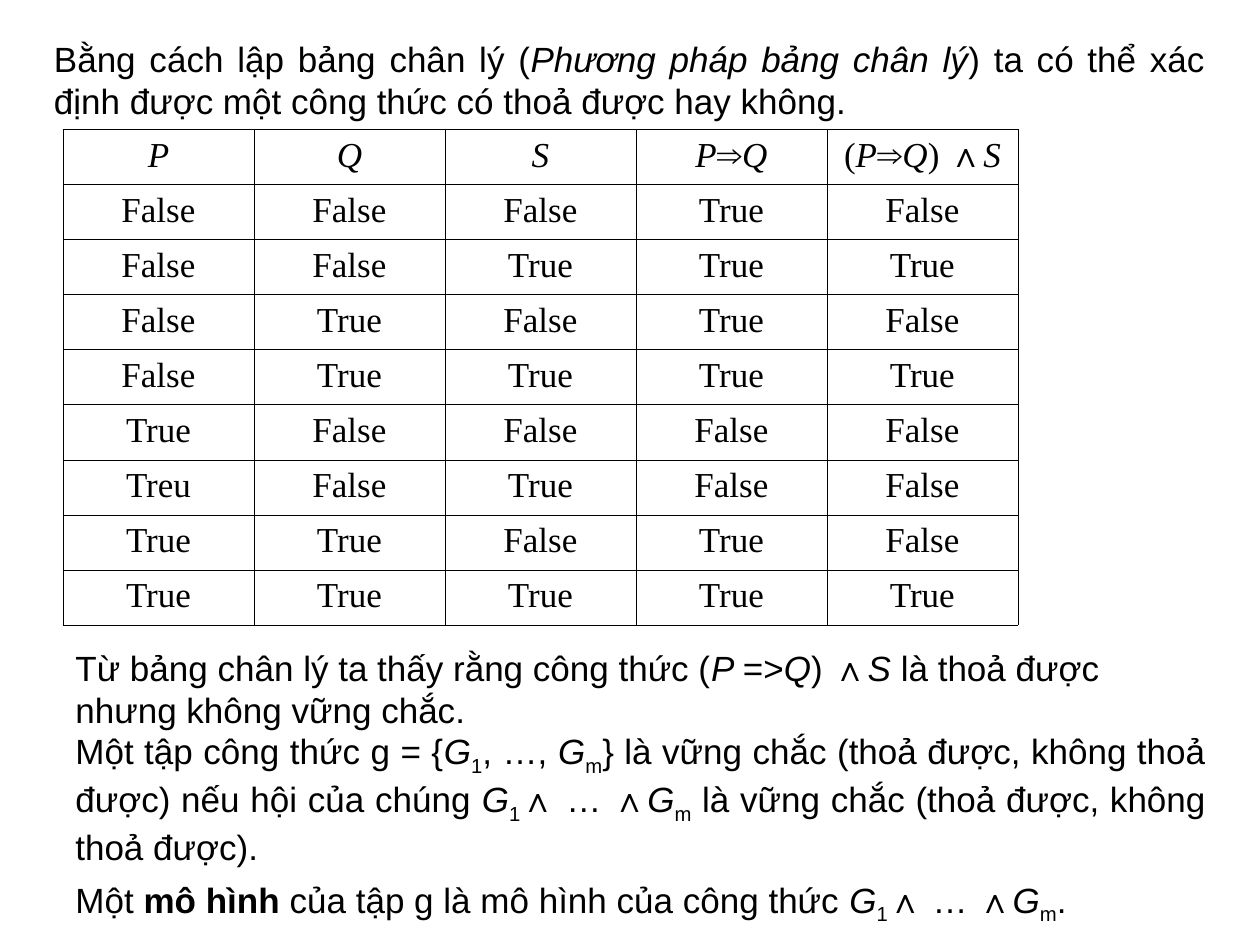
from lxml import etree
from pptx import Presentation
from pptx.dml.color import RGBColor
from pptx.enum.text import MSO_ANCHOR, MSO_AUTO_SIZE, PP_ALIGN
from pptx.oxml.ns import qn
from pptx.util import Inches, Pt

LEFT, CENTER, JUSTIFY = PP_ALIGN.LEFT, PP_ALIGN.CENTER, PP_ALIGN.JUSTIFY
TOP, MIDDLE = MSO_ANCHOR.TOP, MSO_ANCHOR.MIDDLE
BLANK_LAYOUT = 6
SANS, SERIF = "Arial", "Times New Roman"
BLACK = "000000"
TEXT_SIZE = 20
BORDER_WIDTH = 0.45

# A run is (text, style): "i" italic, "b" bold, "sub" subscript, "" plain.
FIRST_G = [("G", "i"), ("1", "sub")]
LAST_G = [("G", "i"), ("m", "sub")]
CONJUNCTION = FIRST_G + [("∧ … ∧", "")] + LAST_G

INTRODUCTION = [[
    ("Bằng cách lập bảng chân lý (", ""), ("Phương pháp bảng chân lý", "i"),
    (") ta có thể xác định được một công thức có thoả được hay không. ", ""),
]]
CONCLUSION = [[
    ("Từ bảng chân lý ta thấy rằng công thức (", ""), ("P ", "i"), ("=>", ""),
    ("Q", "i"), (") ∧", ""), ("S", "i"),
    (" là thoả được nhưng không vững chắc.", ""),
]]
DEFINITIONS = [
    [("Một tập công thức g = {", "")] + FIRST_G + [(", …, ", "")] + LAST_G
    + [("} là vững chắc (thoả được, không thoả được) nếu hội của chúng ", "")]
    + CONJUNCTION + [(" là vững chắc (thoả được, không thoả được). ", "")],
    [("Một ", ""), ("mô hình", "b"), (" của tập g là mô hình của công thức ", "")]
    + CONJUNCTION + [(". ", "")],
]

# left, top, width, height in inches; anchor; alignment; space after; paragraphs
TEXT_BOXES = [
    ((0.33, 0.25, 9.33, 0.77), MIDDLE, JUSTIFY, 0, INTRODUCTION),
    ((0.5, 5.08, 9.08, 0.77), TOP, LEFT, 0, CONCLUSION),
    ((0.5, 5.74, 9.17, 1.66), MIDDLE, JUSTIFY, 6.2, DEFINITIONS),
]

IMPLICATION = [("P", "i"), ("⇒", "symbol"), ("Q", "i")]
HEADINGS = [
    [("P", "i")], [("Q", "i")], [("S", "i")], IMPLICATION,
    [("(", "")] + IMPLICATION + [(") ", ""), ("∧", "symbol"), ("S", "i")],
]
TRUTH_ROWS = [
    ("False", "False", "False", "True", "False"),
    ("False", "False", "True", "True", "True"),
    ("False", "True", "False", "True", "False"),
    ("False", "True", "True", "True", "True"),
    ("True", "False", "False", "False", "False"),
    ("Treu", "False", "True", "False", "False"),
    ("True", "True", "False", "True", "False"),
    ("True", "True", "True", "True", "True"),
]
TABLE_LEFT, TABLE_TOP = 0.5, 1.03
TABLE_WIDTH, TABLE_HEIGHT = 7.58, 3.93


def color(hex_value):
    return RGBColor.from_string(hex_value)


def add_runs(paragraph, runs, font_name):
    for text, style in runs:
        run = paragraph.add_run()
        run.text = text
        font = run.font
        font.name = SANS if style == "symbol" else font_name
        font.size = Pt(TEXT_SIZE)
        font.color.rgb = color(BLACK)
        font.italic = style == "i"
        font.bold = style == "b"
        if style == "sub":
            run._r.get_or_add_rPr().set("baseline", "-25000")


def add_text_box(slide, box, anchor, alignment, space_after, paragraphs):
    shape = slide.shapes.add_textbox(*map(Inches, box))
    frame = shape.text_frame
    frame.word_wrap = True
    frame.auto_size = MSO_AUTO_SIZE.SHAPE_TO_FIT_TEXT
    frame.vertical_anchor = anchor
    for index, runs in enumerate(paragraphs):
        paragraph = frame.add_paragraph() if index else frame.paragraphs[0]
        paragraph.alignment = alignment
        paragraph.space_after = Pt(space_after)
        add_runs(paragraph, runs, SANS)


def set_borders(cell):
    properties = cell._tc.get_or_add_tcPr()
    for position, side in enumerate(("lnL", "lnR", "lnT", "lnB")):
        line = etree.Element(qn(f"a:{side}"), w=str(int(Pt(BORDER_WIDTH))))
        fill = etree.SubElement(line, qn("a:solidFill"))
        etree.SubElement(fill, qn("a:srgbClr"), val=BLACK)
        properties.insert(position, line)


def add_truth_table(slide):
    rows = [HEADINGS] + [[[(value, "")] for value in row] for row in TRUTH_ROWS]
    frame = slide.shapes.add_table(
        len(rows), len(HEADINGS), Inches(TABLE_LEFT), Inches(TABLE_TOP),
        Inches(TABLE_WIDTH), Inches(TABLE_HEIGHT))
    table = frame.table
    table.first_row = False
    table.horz_banding = False
    for row_index, row in enumerate(rows):
        for column_index, runs in enumerate(row):
            cell = table.cell(row_index, column_index)
            cell.fill.background()
            set_borders(cell)
            paragraph = cell.text_frame.paragraphs[0]
            paragraph.alignment = CENTER
            add_runs(paragraph, runs, SERIF)


def main():
    presentation = Presentation()
    presentation.slide_width, presentation.slide_height = Inches(10), Inches(7.5)
    slide = presentation.slides.add_slide(presentation.slide_layouts[BLANK_LAYOUT])
    introduction, *remarks = TEXT_BOXES
    add_text_box(slide, *introduction)
    add_truth_table(slide)
    for remark in remarks:
        add_text_box(slide, *remark)
    presentation.save("out.pptx")


if __name__ == "__main__":
    main()
